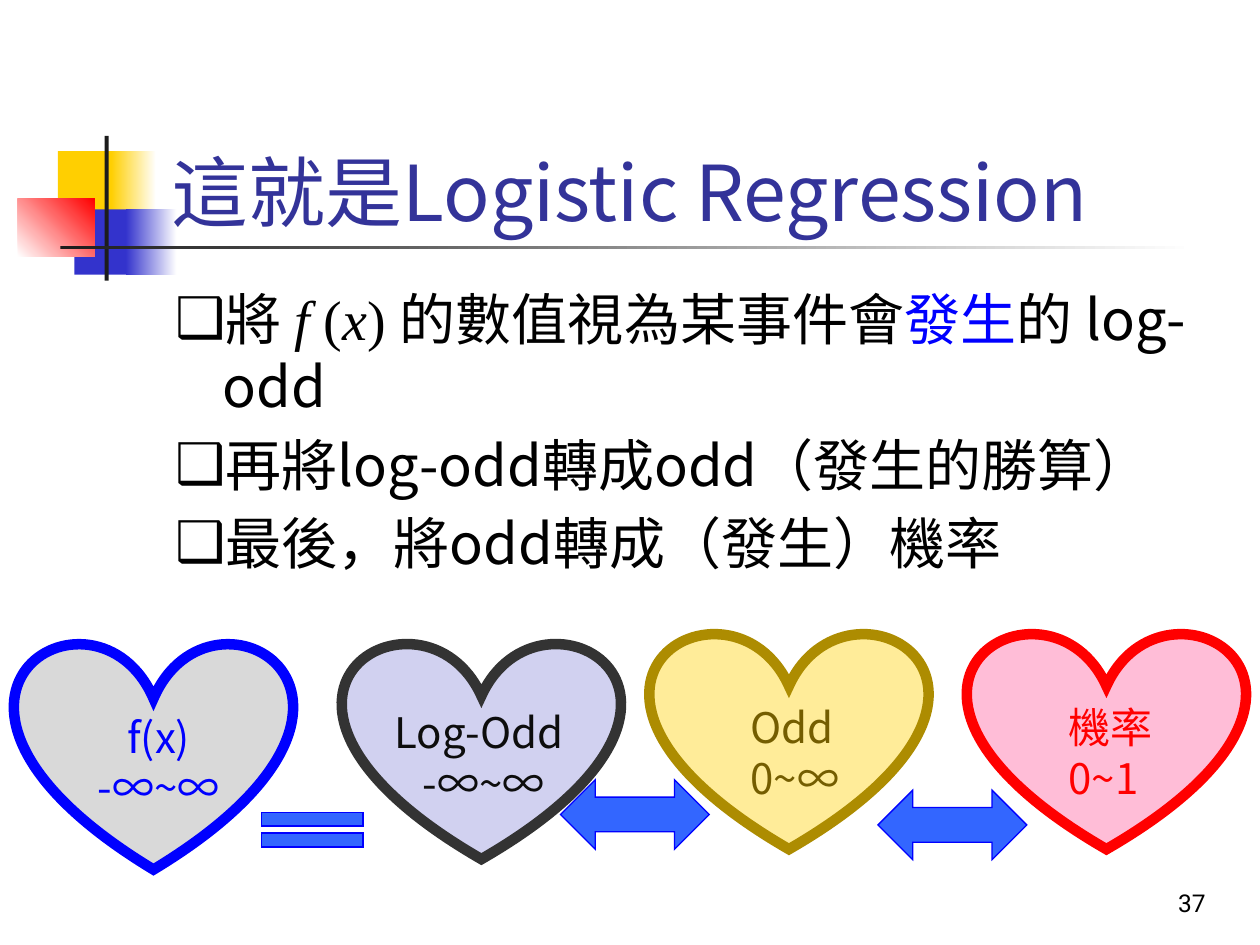
from lxml import etree
from pptx import Presentation
from pptx.dml.color import RGBColor
from pptx.enum import shapes, text
from pptx.oxml.ns import qn
from pptx.util import Cm, Pt

SANS, SERIF, NUMBER_FONT = "Noto Sans CJK SC", "Times New Roman", "Roboto"
BLACK = RGBColor(0x00, 0x00, 0x00)
WHITE = RGBColor(0xFF, 0xFF, 0xFF)
CHARCOAL = RGBColor(0x1C, 0x1C, 0x1C)
YELLOW = RGBColor(0xFF, 0xCF, 0x01)
INDIGO = RGBColor(0x33, 0x33, 0xCC)
TITLE_BLUE = RGBColor(0x33, 0x33, 0x99)
RED = RGBColor(0xFF, 0x00, 0x00)
BLUE = RGBColor(0x00, 0x00, 0xFF)
SIGN_BLUE = RGBColor(0x33, 0x66, 0xFF)
GREY = RGBColor(0xD9, 0xD9, 0xD9)
LAVENDER = RGBColor(0xD1, 0xD1, 0xF0)
DARK_GREY = RGBColor(0x33, 0x33, 0x33)
INK = RGBColor(0x0D, 0x0D, 0x0D)
CREAM = RGBColor(0xFF, 0xEC, 0x99)
GOLD = RGBColor(0xAD, 0x8C, 0x01)
BROWN = RGBColor(0x74, 0x5D, 0x00)
PINK = RGBColor(0xFF, 0xBD, 0xD7)


def add_run(paragraph, words, size, color, font=SANS, italic=False):
    run = paragraph.add_run()
    run.text = words
    run.font.size = Pt(size)
    run.font.name = font
    run.font.italic = italic
    run.font.color.rgb = color
    east_asian = etree.SubElement(run.font._element, qn("a:ea"))
    east_asian.set("typeface", SANS)


def add_filled(kind, box, color, line_color=None, line_width=0):
    """Add a preset shape with a plain fill; box is in centimetres."""
    shape = slide.shapes.add_shape(kind, *map(Cm, box))
    shape.shadow.inherit = False
    shape.fill.solid()
    shape.fill.fore_color.rgb = color
    if line_color is None:
        shape.line.fill.background()
    else:
        shape.line.color.rgb = line_color
        shape.line.width = Pt(line_width)
        line = shape._element.spPr.find(qn("a:ln"))
        etree.SubElement(line, qn("a:miter")).set("lim", "800000")
    return shape


presentation = Presentation()
presentation.slide_width, presentation.slide_height = Cm(25.4), Cm(19.05)
slide = presentation.slides.add_slide(presentation.slide_layouts[1])

# Corner decoration: box, start colour, end colour (None for plain), angle
decoration = [
    ((1.17, 3.05, 1.22, 1.32), YELLOW, None, 0),
    ((2.24, 3.05, 0.91, 1.32), YELLOW, WHITE, 0),
    ((1.5, 4.22, 1.17, 1.32), INDIGO, None, 0),
    ((2.54, 4.22, 1.02, 1.32), INDIGO, WHITE, 0),
    ((0.36, 4.01, 1.55, 1.17), WHITE, RED, 45),
    ((2.11, 2.74, 0.08, 2.92), CHARCOAL, None, 0),
    ((1.22, 4.95, 22.86, 0.08), CHARCOAL, WHITE, 0),
]
for box, start, end, angle in decoration:
    block = add_filled(shapes.MSO_SHAPE.RECTANGLE, box, start)
    if end is not None:
        block.fill.gradient()
        block.fill.gradient_angle = angle
        for stop, color in zip(block.fill.gradient_stops, (start, end)):
            stop.color.rgb = color

# Title and list, brought in front of the decoration
title, body = slide.shapes.title, slide.placeholders[1]
for placeholder, box in ((title, (3.2, 1.73, 21.64, 3.18)),
                         (body, (3.28, 5.61, 21.59, 11.43))):
    placeholder.left, placeholder.top, placeholder.width, placeholder.height = map(Cm, box)
    placeholder.text_frame.auto_size = text.MSO_AUTO_SIZE.NONE
    slide.shapes._spTree.append(placeholder._element)

title.text_frame.vertical_anchor = text.MSO_ANCHOR.BOTTOM
heading = title.text_frame.paragraphs[0]
heading.alignment = text.PP_ALIGN.LEFT
add_run(heading, "這就是Logistic Regression", 44, TITLE_BLUE)

bullets = [
    [("將 ", BLACK, SERIF), ("f ", BLACK, SERIF, True), ("(", BLACK, SERIF),
     ("x", BLACK, SERIF, True), (") 的數值視為", BLACK, SERIF),
     ("某事件會", BLACK), ("發生", BLUE), ("的 log-odd", BLACK)],
    [("再將log-odd轉成odd（發生的勝算）", BLACK)],
    [("最後，將odd轉成（發生）機率", BLACK)],
]
for number, runs in enumerate(bullets):
    frame = body.text_frame
    paragraph = frame.add_paragraph() if number else frame.paragraphs[0]
    if number == 0:
        paragraph.space_before = Pt(0)
    properties = paragraph._p.get_or_add_pPr()
    properties.set("marL", str(Cm(0.95)))
    properties.set("indent", str(-Cm(0.95)))
    bullet_color = etree.SubElement(properties, qn("a:buClr"))
    etree.SubElement(bullet_color, qn("a:srgbClr")).set("val", str(BLACK))
    etree.SubElement(properties, qn("a:buChar")).set("char", "❑")
    for words, color, *style in runs:
        add_run(paragraph, words, 32, color, *style)

# Hearts: box, fill, outline, label box, label colour, centred lines, label
LEFT, CENTER = text.PP_ALIGN.LEFT, text.PP_ALIGN.CENTER
hearts = [
    ((0.3, 12.93, 5.59, 4.6), GREY, BLUE, (1.7, 14.22, 3, 2.31), BLUE,
     [("f(x)", CENTER), ("-∞~∞", CENTER)]),
    ((6.91, 12.93, 5.59, 4.39), LAVENDER, DARK_GREY, (7.7, 14.12, 4.17, 2.31), INK,
     [("Log-Odd", LEFT), (" -∞~∞", CENTER)]),
    ((13.11, 12.73, 5.59, 4.39), CREAM, GOLD, (14.88, 14.02, 2.39, 2.31), BROWN,
     [("Odd", LEFT), ("0~∞", LEFT)]),
    ((19.51, 12.73, 5.59, 4.39), PINK, RED, (21.29, 14.02, 2.24, 2.31), RED,
     [("機率", LEFT), ("0~1", LEFT)]),
]
for box, fill, outline, label_box, label_color, lines in hearts:
    add_filled(shapes.MSO_SHAPE.HEART, box, fill, outline, 6)
    frame = slide.shapes.add_textbox(*map(Cm, label_box)).text_frame
    frame.word_wrap = False
    frame.auto_size = text.MSO_AUTO_SIZE.SHAPE_TO_FIT_TEXT
    for number, (words, alignment) in enumerate(lines):
        paragraph = frame.add_paragraph() if number else frame.paragraphs[0]
        paragraph.alignment = alignment
        add_run(paragraph, words, 24, label_color)

# Signs between the hearts
for kind, box in (
    (shapes.MSO_SHAPE.MATH_EQUAL, (4.9, 16.13, 2.79, 1.19)),
    (shapes.MSO_SHAPE.LEFT_RIGHT_ARROW, (11.3, 15.72, 3, 1.4)),
    (shapes.MSO_SHAPE.LEFT_RIGHT_ARROW, (17.7, 15.93, 3, 1.4)),
):
    add_filled(kind, box, SIGN_BLUE, BLUE, 0.75)

page_frame = slide.shapes.add_textbox(Cm(23.5), Cm(17.35), Cm(1.47), Cm(1.27)).text_frame
page_frame.word_wrap = True
page_frame.vertical_anchor = text.MSO_ANCHOR.BOTTOM
add_run(page_frame.paragraphs[0], "37", 14, BLACK, NUMBER_FONT)

presentation.save("out.pptx")
